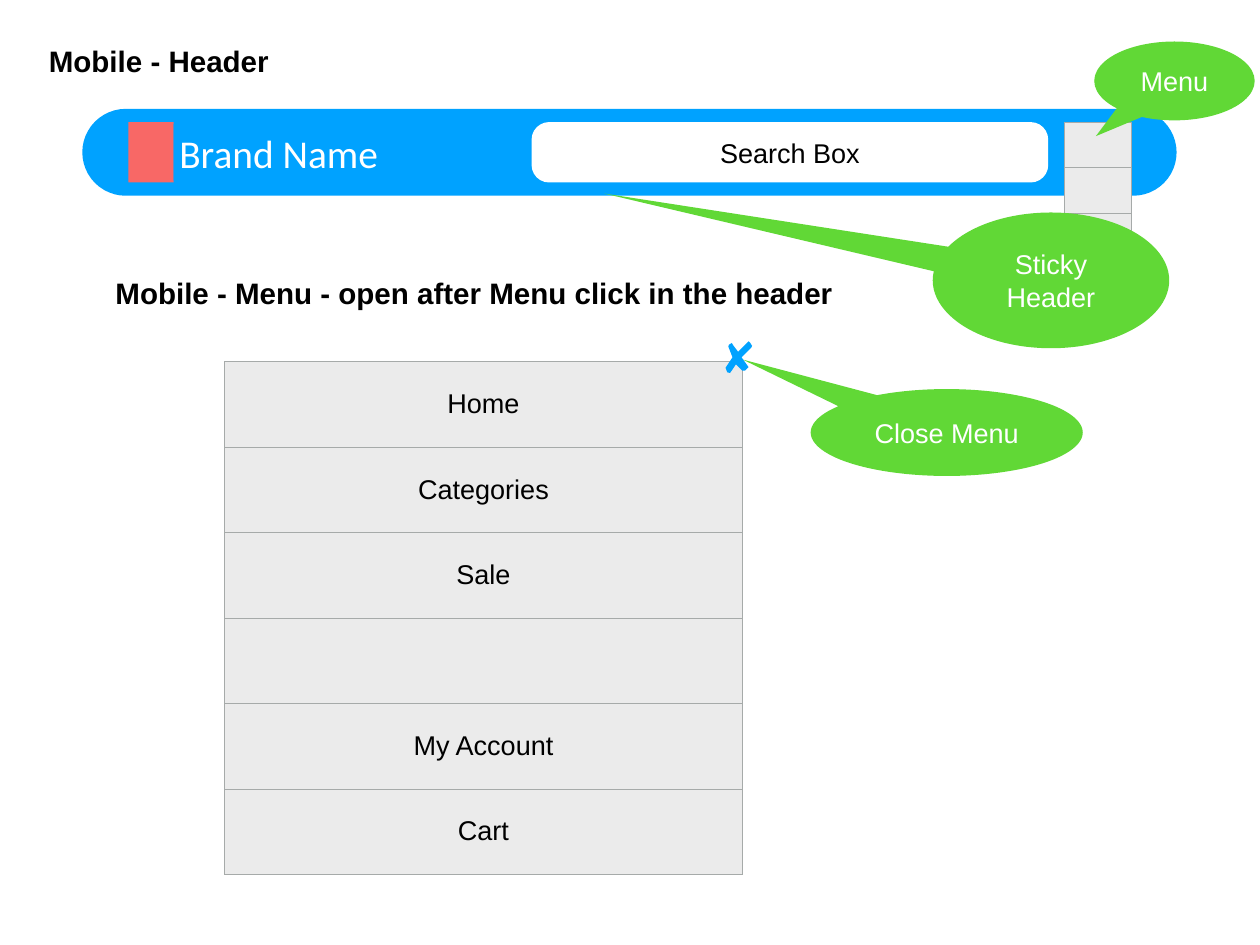
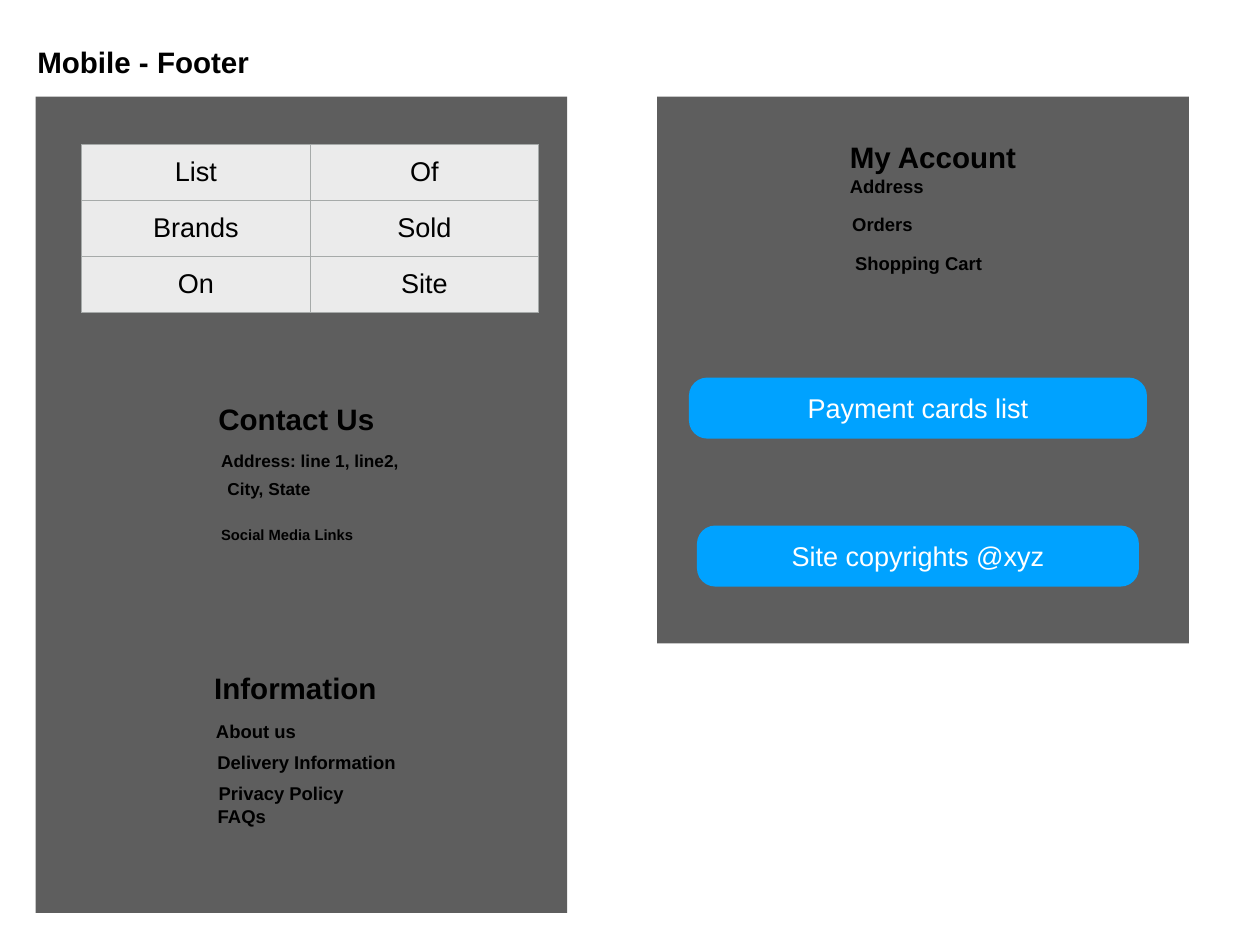
from dataclasses import dataclass

from lxml import etree
from pptx import Presentation
from pptx import util as u
from pptx.dml import color
from pptx.enum import shapes, text
from pptx.oxml import ns


@dataclass(frozen=True)
class Theme:
    blue: str = "00A2FF"
    green: str = "61D836"
    coral: str = "F86866"
    panel: str = "5E5E5E"
    cell: str = "EBEBEB"
    border: str = "A6AAA9"
    white: str = "FFFFFF"
    black: str = "000000"
    font: str = "Arial"
    brand_font: str = "Calibri"
    brand: int = 32
    heading: int = 24
    label: int = 22
    link: int = 15
    address: int = 14
    social: int = 12
    inset: float = 0.16
    cell_inset: float = 0.13
    border_width: float = 0.45


THEME = Theme()
PRESET = shapes.MSO_SHAPE
ALIGN = text.PP_ALIGN
ANCHOR = text.MSO_ANCHOR


@dataclass(frozen=True)
class Box:
    x: float
    y: float
    w: float
    h: float

    def inner(self, dx, dy, w, h):
        return Box(self.x + dx, self.y + dy, w, h)

    def lengths(self):
        return [u.Cm(n) for n in (self.x, self.y, self.w, self.h)]


def rgb(value):
    return color.RGBColor.from_string(value)


def add_child(parent, tag, **attributes):
    child = etree.SubElement(parent, ns.qn(tag))
    for key, value in attributes.items():
        child.set(key, str(value))
    return child


def write(paragraph, words, size, ink=THEME.black, bold=False, font=THEME.font, align=ALIGN.CENTER):
    paragraph.alignment = align
    run = paragraph.add_run()
    run.text = words
    run.font.size = u.Pt(size)
    run.font.name = font
    run.font.bold = bold
    run.font.color.rgb = rgb(ink)


def set_frame(frame, anchor=ANCHOR.MIDDLE):
    frame.auto_size = text.MSO_AUTO_SIZE.NONE
    frame.word_wrap = True
    frame.vertical_anchor = anchor
    frame.margin_left = frame.margin_right = u.Cm(THEME.inset)
    frame.margin_top = frame.margin_bottom = u.Cm(THEME.inset)


def place(shape, box):
    shape.left, shape.top, shape.width, shape.height = box.lengths()


def paint(shape, fill):
    shape.shadow.inherit = False
    shape.fill.solid()
    shape.fill.fore_color.rgb = rgb(fill)
    shape.line.fill.background()


def add_block(slide, preset, box, fill, adjustments=()):
    block = slide.shapes.add_shape(preset, *box.lengths())
    paint(block, fill)
    for index, value in enumerate(adjustments):
        block.adjustments[index] = value
    return block


def add_label(slide, preset, box, fill, words, ink=THEME.white, adjustments=()):
    label = add_block(slide, preset, box, fill, adjustments)
    set_frame(label.text_frame)
    write(label.text_frame.paragraphs[0], words, THEME.label, ink)


def add_callout(slide, box, words, tip):
    add_label(slide, PRESET.OVAL_CALLOUT, box, THEME.green, words, adjustments=tip)


def format_heading(shape, words):
    set_frame(shape.text_frame)
    write(shape.text_frame.paragraphs[0], words, THEME.heading, bold=True, align=ALIGN.LEFT)


def add_title(slide, box, words):
    place(slide.shapes.title, box)
    format_heading(slide.shapes.title, words)


def add_grid(slide, box, rows):
    grid = slide.shapes.add_table(len(rows), len(rows[0]), *box.lengths()).table
    grid.first_row = grid.horz_banding = False
    for row, entries in zip(grid.rows, rows):
        row.height = u.Cm(box.h / len(rows))
        for cell, words in zip(row.cells, entries):
            properties = cell._tc.get_or_add_tcPr()
            for side in ("a:lnL", "a:lnR", "a:lnT", "a:lnB"):
                line = add_child(properties, side, w=u.Pt(THEME.border_width))
                add_child(add_child(line, "a:solidFill"), "a:srgbClr", val=THEME.border)
            cell.fill.solid()
            cell.fill.fore_color.rgb = rgb(THEME.cell)
            cell.vertical_anchor = ANCHOR.MIDDLE
            cell.margin_left = cell.margin_right = u.Cm(THEME.inset)
            cell.margin_top = cell.margin_bottom = u.Cm(THEME.cell_inset)
            if words:
                write(cell.text_frame.paragraphs[0], words, THEME.label)


def add_close_cross(slide, x, y):
    corners = [
        (0.66, 0), (0.36, 0.3), (0.23, 0.13), (0.18, 0.05), (0.1, 0.1), (0.08, 0.15),
        (0.2, 0.46), (0, 0.76), (0.05, 0.89), (0.13, 0.91), (0.3, 0.66), (0.48, 0.84),
        (0.56, 0.84), (0.66, 0.74), (0.46, 0.46), (0.74, 0.18), (0.76, 0.13), (0.71, 0.05),
    ]
    placed = [(u.Cm(x + dx), u.Cm(y + dy)) for dx, dy in corners]
    builder = slide.shapes.build_freeform(*placed[0])
    builder.add_line_segments(placed[1:], close=True)
    paint(builder.convert_to_shape(), THEME.blue)


def add_header_bar(slide, box):
    add_block(slide, PRESET.ROUNDED_RECTANGLE, box, THEME.blue, [0.5])
    add_block(slide, PRESET.RECTANGLE, box.inner(1.32, 0.38, 1.3, 1.73), THEME.coral)
    brand = add_block(slide, PRESET.RECTANGLE, box.inner(2.62, 0.43, 6.99, 1.63), THEME.blue)
    set_frame(brand.text_frame)
    write(brand.text_frame.paragraphs[0], "Brand Name", THEME.brand, THEME.white,
          font=THEME.brand_font, align=ALIGN.LEFT)
    add_grid(slide, box.inner(28.14, 0.38, 1.93, 3.9), [[""]] * 3)
    add_callout(slide, box.inner(29.01, -1.93, 4.6, 2.26), "Menu", (-0.49, 0.7))
    add_label(slide, PRESET.ROUNDED_RECTANGLE, box.inner(12.88, 0.38, 14.81, 1.73),
              THEME.white, "Search Box", THEME.black, [0.29])
    add_callout(slide, box.inner(24.38, 2.97, 6.78, 3.89), "Sticky Header", (-1.89, -0.64))


def add_open_menu(slide, box):
    entries = ["Home", "Categories", "Sale", "", "My Account", "Cart"]
    add_grid(slide, box, [[entry] for entry in entries])
    heading = slide.shapes.add_textbox(*box.inner(-3.28, -2.62, 22, 1.3).lengths())
    format_heading(heading, "Mobile - Menu - open after Menu click in the header")
    add_callout(slide, box.inner(16.81, 0.79, 7.8, 2.49), "Close Menu", (-0.75, -0.84))
    add_close_cross(slide, box.x + 14.37, box.y - 0.58)


def add_link_section(slide, holder, box, heading, links):
    slide.shapes._spTree.append(holder._element)
    place(holder, box)
    frame = holder.text_frame
    set_frame(frame, ANCHOR.TOP)
    lines = [(heading, THEME.heading, 0, 0), *links]
    for index, (words, size, indent, gap) in enumerate(lines):
        paragraph = frame.add_paragraph() if index else frame.paragraphs[0]
        properties = paragraph._p.get_or_add_pPr()
        properties.set("marL", str(u.Cm(indent)))
        properties.set("indent", "0")
        add_child(properties, "a:buNone")
        paragraph.space_before = u.Pt(gap)
        write(paragraph, words, size, bold=True, align=ALIGN.LEFT)


def add_contact_panel(slide, box, contact, information):
    add_block(slide, PRESET.RECTANGLE, box, THEME.panel)
    add_grid(slide, box.inner(1.32, 1.37, 13.1, 4.8),
             [["List", "Of"], ["Brands", "Sold"], ["On", "Site"]])
    add_link_section(slide, contact, box.inner(5.08, 8.56, 7, 4.6), "Contact Us", [
        ("Address: line 1, line2,", THEME.address, 0.08, 11),
        ("City, State", THEME.address, 0.26, 6),
        ("Social Media Links", THEME.social, 0.08, 22),
    ])
    add_link_section(slide, information, box.inner(4.96, 16.26, 7, 5), "Information", [
        ("About us", THEME.link, 0.05, 12.5),
        ("Delivery Information", THEME.link, 0.09, 7),
        ("Privacy Policy", THEME.link, 0.13, 7),
        ("FAQs", THEME.link, 0.1, 1),
    ])


def add_account_panel(slide, box, account):
    add_block(slide, PRESET.RECTANGLE, box, THEME.panel)
    add_link_section(slide, account, box.inner(5.36, 1.06, 6, 4.2), "My Account", [
        ("Address", THEME.link, 0, 0),
        ("Orders", THEME.link, 0.07, 13.5),
        ("Shopping Cart", THEME.link, 0.15, 13),
    ])
    buttons = [("Payment cards list", box.inner(0.91, 8.05, 13.13, 1.75)),
               ("Site copyrights @xyz", box.inner(1.14, 12.29, 12.67, 1.75))]
    for words, button in buttons:
        add_label(slide, PRESET.ROUNDED_RECTANGLE, button, THEME.blue, words, adjustments=[0.3])


def build_header_slide(deck):
    slide = deck.slides.add_slide(deck.slide_layouts.get_by_name("Title Only"))
    add_title(slide, Box(1.24, 1.09, 9, 1.3), "Mobile - Header")
    add_header_bar(slide, Box(2.36, 3.12, 31.37, 2.49))
    add_open_menu(slide, Box(6.43, 10.36, 14.86, 14.7))


def build_footer_slide(deck):
    slide = deck.slides.add_slide(deck.slide_layouts.get_by_name("Comparison"))
    add_title(slide, Box(0.91, 1.12, 9, 1.3), "Mobile - Footer")
    contact, information, account, spare = list(slide.placeholders)[1:]
    spare._element.getparent().remove(spare._element)
    add_contact_panel(slide, Box(1.02, 2.77, 15.24, 23.39), contact, information)
    add_account_panel(slide, Box(18.84, 2.77, 15.24, 15.67), account)


def main():
    deck = Presentation()
    deck.slide_width, deck.slide_height = u.Cm(36.12), u.Cm(27.08)
    build_header_slide(deck)
    build_footer_slide(deck)
    deck.save("out.pptx")


if __name__ == "__main__":
    main()
